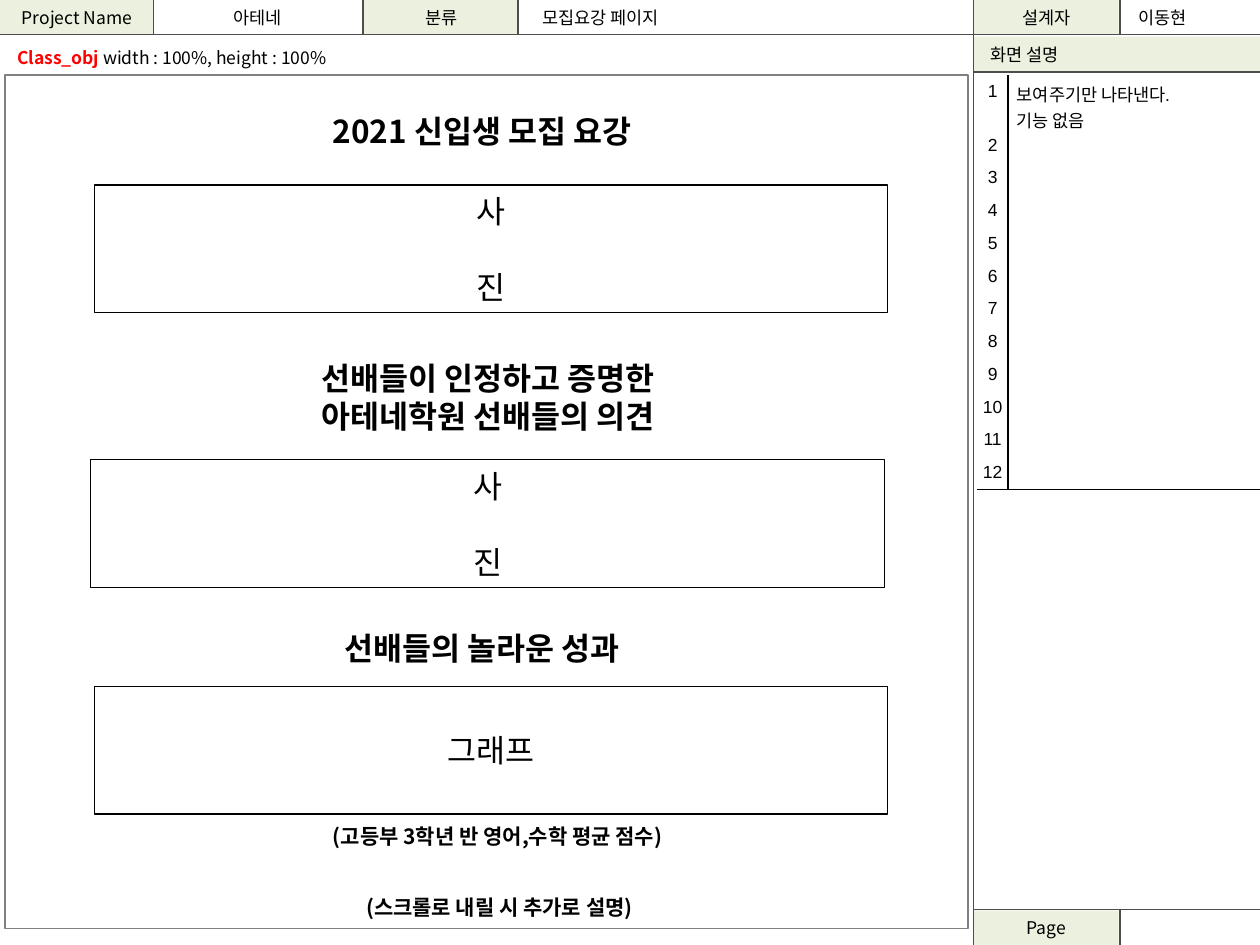
from lxml import etree
from pptx import Presentation
from pptx.dml.color import RGBColor
from pptx.enum.shapes import MSO_CONNECTOR, MSO_SHAPE
from pptx.enum.text import MSO_ANCHOR, PP_ALIGN
from pptx.oxml.ns import qn
from pptx.util import Cm, Pt

LEFT, CENTER = PP_ALIGN.LEFT, PP_ALIGN.CENTER
MIDDLE, TOP = MSO_ANCHOR.MIDDLE, MSO_ANCHOR.TOP
KOREAN, LATIN = "Noto Sans CJK KR", "Arial"
BLACK, RED, GRAY, DARK, GREEN = "000000", "FF0000", "808080", "4D4D4D", "EBF1DE"

# Content; all lengths are in centimetres
WIDTH, HEIGHT = 25.4, 19.05
PANEL_LEFT, VALUE_LEFT = 19.63, 22.58
HEADER_BOTTOM, PANEL_TITLE_BOTTOM, FOOTER_TOP = 0.69, 1.45, 18.34
LABELS = [  # text, left, top, width, height, alignment, left inset
    ("Page", PANEL_LEFT, 18.36, 2.92, 0.69, CENTER, 0.25),
    ("설계자", PANEL_LEFT, 0, 2.92, 0.69, CENTER, 0.25),
    ("화면 설명", PANEL_LEFT, 0.74, 5.77, 0.71, LEFT, 0.34),
    ("분류", 7.34, 0, 3.12, 0.69, CENTER, 0.25),
    ("Project Name", 0, 0, 3.1, 0.69, CENTER, 0.25),
]
VALUES = [  # text, left, width, alignment
    ("아테네", 3.1, 4.19, CENTER),
    ("모집요강 페이지", 10.69, 5.59, LEFT),
    ("이동현", 22.71, 2.01, LEFT),
]
RULES = [
    (0, HEADER_BOTTOM, WIDTH, HEADER_BOTTOM),
    (PANEL_LEFT, PANEL_TITLE_BOTTOM, WIDTH, PANEL_TITLE_BOTTOM),
    (PANEL_LEFT, FOOTER_TOP, WIDTH, FOOTER_TOP),
    (PANEL_LEFT, 0, PANEL_LEFT, HEIGHT),
    (VALUE_LEFT, FOOTER_TOP, VALUE_LEFT, HEIGHT),
] + [(x, 0, x, HEADER_BOTTOM) for x in (3.1, 7.32, 10.44, VALUE_LEFT)]
HEADINGS = [  # lines, left, top, width, height, size
    (["2021 신입생 모집 요강"], 2.31, 2.13, 14.81, 1.02, 18),
    (["선배들이 인정하고 증명한", "아테네학원 선배들의 의견"], 2.44, 7.09, 14.81, 1.8, 18),
    (["선배들의 놀라운 성과"], 2.31, 12.55, 14.81, 1.02, 18),
    (["(고등부 3학년 반 영어,수학 평균 점수)"], 5.13, 16.48, 9.8, 0.76, 12),
    (["(스크롤로 내릴 시 추가로 설명)"], 5.17, 17.91, 9.8, 0.76, 12),
]
BOXES = [  # lines, left, top
    (["사", "진"], 1.9, 3.73),
    (["사", "진"], 1.83, 9.27),
    (["그래프"], 1.9, 13.84),
]
NOTES = [["보여주기만 나타낸다.", "기능 없음"]] + [[]] * 11
LARGE_LINE = 21.7  # line pitch of 18 pt text, in points


def color(value):
    return RGBColor.from_string(value)


def apply(target, values):
    for name, value in values.items():
        setattr(target, name, value)


def add_run(paragraph, text, size=10, bold=False, tint=BLACK, font=KOREAN):
    run = paragraph.add_run()
    run.text = text
    apply(run.font, {"size": Pt(size), "bold": bold, "name": font})
    run.font.color.rgb = color(tint)
    etree.SubElement(run._r.get_or_add_rPr(), qn("a:ea"), typeface=KOREAN)


def write(frame, lines, align=LEFT, gap=0, pitch=None, **style):
    for index, line in enumerate(lines):
        paragraph = frame.add_paragraph() if index else frame.paragraphs[0]
        apply(paragraph, {"alignment": align,
                          "space_before": Pt(gap if index else 0),
                          "line_spacing": Pt(pitch) if pitch else None})
        add_run(paragraph, line, **style)


def add_text(slide, box):
    frame = slide.shapes.add_textbox(*map(Cm, box)).text_frame
    apply(frame, {"word_wrap": True, "vertical_anchor": MIDDLE})
    return frame


def add_rectangle(slide, box, fill=None, line=None, weight=0.75):
    shape = slide.shapes.add_shape(MSO_SHAPE.RECTANGLE, *map(Cm, box))
    shape.shadow.inherit = False
    if fill:
        shape.fill.solid()
        shape.fill.fore_color.rgb = color(fill)
    else:
        shape.fill.background()
    if line:
        shape.line.color.rgb = color(line)
        shape.line.width = Pt(weight)
    else:
        shape.line.fill.background()
    apply(shape.text_frame, {"word_wrap": True, "vertical_anchor": MIDDLE})
    return shape.text_frame


def add_rule(slide, ends):
    rule = slide.shapes.add_connector(MSO_CONNECTOR.STRAIGHT, *map(Cm, ends))
    rule.line.color.rgb = color(DARK)
    rule.line.width = Pt(0.75)
    etree.SubElement(rule._element.spPr, qn("a:effectLst"))


def set_borders(cell, sides):
    properties = cell._tc.get_or_add_tcPr()
    for position, side in enumerate("LRTB"):
        border = etree.Element(qn("a:ln" + side), w=str(Pt(0.75)))
        if side in sides:
            fill = etree.SubElement(border, qn("a:solidFill"))
            etree.SubElement(fill, qn("a:srgbClr"), val=BLACK)
        else:
            etree.SubElement(border, qn("a:noFill"))
        properties.insert(position, border)


def add_notes(slide):
    table = slide.shapes.add_table(len(NOTES), 2, Cm(19.7), Cm(1.52),
                                   Cm(5.7), Cm(8.4)).table
    apply(table, {"first_row": False, "horz_banding": False})
    for column, width in zip(table.columns, (0.62, 5.08)):
        column.width = Cm(width)
    for index, lines in enumerate(NOTES):
        table.rows[index].height = Cm(0.66 if index else 1.08)
        number, note = table.rows[index].cells
        for cell, margin, sides in ((number, 0.1, "RB"), (note, 0.18, "LB")):
            apply(cell, {"margin_left": Cm(margin), "margin_right": Cm(margin),
                         "margin_top": Cm(0.13), "margin_bottom": Cm(0),
                         "vertical_anchor": TOP})
            cell.fill.background()
            set_borders(cell, sides if index else sides)
        write(number.text_frame, [str(index + 1)], CENTER, font=LATIN)
        write(note.text_frame, lines, font=LATIN)
        if not lines:
            ending = note.text_frame.paragraphs[0]._p.get_or_add_endParaRPr()
            ending.set("sz", "1000")


def main():
    presentation = Presentation()
    apply(presentation, {"slide_width": Cm(WIDTH), "slide_height": Cm(HEIGHT)})
    slide = presentation.slides.add_slide(presentation.slide_layouts[6])

    # Header, side panel and footer
    for text, left, top, width, height, align, inset in LABELS:
        frame = add_rectangle(slide, (left, top, width, height), GREEN)
        frame.margin_left = Cm(inset)
        write(frame, [text], align)
    for text, left, width, align in VALUES:
        write(add_text(slide, (left, 0, width, HEADER_BOTTOM)), [text], align)
    for ends in RULES:
        add_rule(slide, ends)
    add_notes(slide)

    # Page area
    size_note = add_text(slide, (0.1, 0.81, 8.79, 0.69))
    write(size_note, ["Class_obj"], bold=True, tint=RED)
    add_run(size_note.paragraphs[0], " width : 100%, height : 100%")
    add_rectangle(slide, (0.1, 1.52, 19.41, 17.2), line=GRAY, weight=1)
    for lines, left, top in BOXES:
        frame = add_rectangle(slide, (left, top, 16, 2.57), line=BLACK)
        write(frame, lines, CENTER, gap=LARGE_LINE, pitch=LARGE_LINE, size=18)
    for lines, left, top, width, height, size in HEADINGS:
        pitch = LARGE_LINE if len(lines) > 1 else None
        frame = add_text(slide, (left, top, width, height))
        write(frame, lines, CENTER, pitch=pitch, size=size, bold=True)

    presentation.save("out.pptx")


if __name__ == "__main__":
    main()
